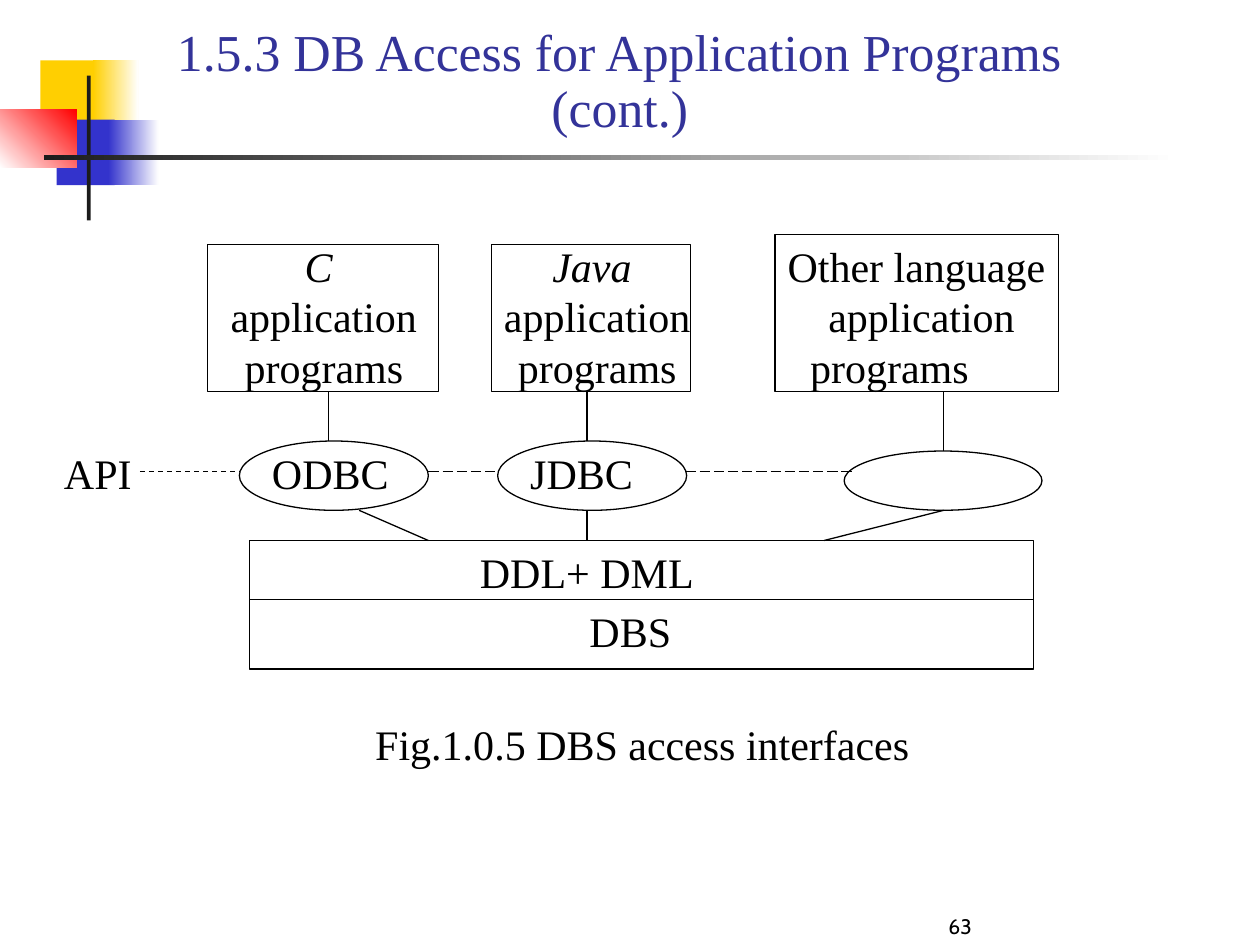
from lxml import etree
from pptx import Presentation
from pptx.dml.color import RGBColor
from pptx.enum import dml, shapes, text
from pptx.oxml import ns
from pptx.util import Inches, Pt

BLACK = RGBColor(0x00, 0x00, 0x00)
WHITE = RGBColor(0xFF, 0xFF, 0xFF)
CHARCOAL = RGBColor(0x1C, 0x1C, 0x1C)
YELLOW = RGBColor(0xFF, 0xCF, 0x01)
BLUE = RGBColor(0x33, 0x33, 0xCC)
RED = RGBColor(0xFF, 0x00, 0x00)
TITLE_BLUE = RGBColor(0x33, 0x33, 0x99)

SERIF = "Times New Roman"
RECTANGLE = shapes.MSO_SHAPE.RECTANGLE
OVAL = shapes.MSO_SHAPE.OVAL
CENTER = text.PP_ALIGN.CENTER
LEFT = text.PP_ALIGN.LEFT
DASH = dml.MSO_LINE.DASH
LONG_DASH = dml.MSO_LINE.LONG_DASH

# left, top, width, height, colours (one is solid, two a gradient), angle
DECORATION = [
    (0.32, 0.48, 0.48, 0.52, [YELLOW], 0),
    (0.74, 0.48, 0.36, 0.52, [YELLOW, WHITE], 0),
    (0.45, 0.95, 0.46, 0.52, [BLUE], 0),
    (0.86, 0.95, 0.4, 0.52, [BLUE, WHITE], 0),
    (0, 0.87, 0.61, 0.46, [WHITE, RED], 45),
    (0.69, 0.6, 0.03, 1.15, [CHARCOAL], 0),
    (0.35, 1.23, 9, 0.04, [CHARCOAL, WHITE], 0),
]

TITLE = ["1.5.3 DB Access for Application Programs", "(cont.)"]
PAGE_NUMBER = "63"

OUTLINES = [
    (RECTANGLE, 1.65, 1.94, 1.83, 1.17),
    (RECTANGLE, 3.9, 1.94, 1.58, 1.17),
    (RECTANGLE, 6.15, 1.86, 2.25, 1.25),
    (OVAL, 1.9, 3.5, 1.5, 0.55),
    (OVAL, 3.95, 3.5, 1.5, 0.55),
    (OVAL, 6.7, 3.58, 1.57, 0.47),
    (RECTANGLE, 1.98, 4.29, 6.22, 1.02),
]

# left, width, language, italic language, indent of the last line
PROGRAMS = [
    (1.73, 1.68, "C ", True, None),
    (3.9, 1.68, "Java ", True, None),
    (6.15, 2.33, "Other language ", False, 0.18),
]

# left, top, width, wording
LABELS = [
    (0.41, 3.5, 0.73, "API"),
    (2.06, 3.5, 1.12, "ODBC"),
    (4.11, 3.5, 1.01, "JDBC"),
    (3.71, 4.29, 1.89, "DDL+ DML"),
    (4.58, 4.76, 0.85, "DBS"),
    (2.88, 5.65, 4.44, "Fig.1.0.5 DBS access interfaces"),
]

PROGRAM_BOTTOM, API_AXIS, API_BOTTOM, DATABASE_TOP = 3.11, 3.74, 4.05, 4.29
LINES = [
    (2.61, PROGRAM_BOTTOM, 2.61, 3.5, None),
    (4.66, PROGRAM_BOTTOM, 4.66, 3.5, None),
    (7.49, PROGRAM_BOTTOM, 7.49, 3.58, None),
    (2.85, API_BOTTOM, 3.4, DATABASE_TOP, None),
    (4.66, API_BOTTOM, 4.66, DATABASE_TOP, None),
    (7.49, API_BOTTOM, 6.54, DATABASE_TOP, None),
    (1.98, 4.76, 8.2, 4.76, None),
    (1.11, API_AXIS, 1.9, API_AXIS, DASH),
    (3.4, API_AXIS, 3.95, API_AXIS, LONG_DASH),
    (5.44, API_AXIS, 6.78, API_AXIS, LONG_DASH),
]


def add_decoration(slide, left, top, width, height, colors, angle):
    shape = slide.shapes.add_shape(RECTANGLE, *map(Inches, (left, top, width, height)))
    shape.shadow.inherit = False
    shape.line.fill.background()
    if len(colors) == 1:
        shape.fill.solid()
        shape.fill.fore_color.rgb = colors[0]
    else:
        shape.fill.gradient()
        shape.fill.gradient_angle = angle
        for stop, color in zip(shape.fill.gradient_stops, colors):
            stop.color.rgb = color


def add_outline(slide, kind, *box):
    shape = slide.shapes.add_shape(kind, *map(Inches, box))
    shape.shadow.inherit = False
    shape.fill.background()
    shape.line.color.rgb = BLACK
    shape.line.width = Pt(0.75)


def add_line(slide, x1, y1, x2, y2, dash):
    line = slide.shapes.add_connector(
        shapes.MSO_CONNECTOR.STRAIGHT, *map(Inches, (x1, y1, x2, y2)))
    line.line.color.rgb = BLACK
    line.line.width = Pt(0.75)
    if dash is not None:
        line.line.dash_style = dash
    etree.SubElement(line._element.spPr, ns.qn("a:effectLst"))


def add_text(slide, box, lines, size=24, font=SERIF, color=BLACK, align=LEFT,
             anchor=text.MSO_ANCHOR.TOP, spacing=None):
    frame = slide.shapes.add_textbox(*map(Inches, box)).text_frame
    frame.word_wrap = True
    frame.vertical_anchor = anchor
    frame.text = "\n".join(lines)
    for paragraph in frame.paragraphs:
        paragraph.alignment = align
        paragraph.line_spacing = spacing
        for run in paragraph.runs:
            run.font.size = Pt(size)
            run.font.name = font
            run.font.color.rgb = color
    return frame


def add_program(slide, left, width, language, italic, indent):
    frame = add_text(slide, (left, 1.86, width, 1.3),
                     [language, "application", "programs"],
                     align=CENTER, spacing=Pt(28.8))
    side_margin = 0.05
    frame.margin_left = frame.margin_right = Inches(side_margin)
    frame.paragraphs[0].runs[0].font.italic = italic
    if indent is not None:
        last = frame.paragraphs[-1]
        last.alignment = LEFT
        properties = last._p.get_or_add_pPr()
        properties.set("marL", str(Inches(indent + side_margin)))
        properties.set("indent", "0")


def add_label(slide, left, top, width, wording):
    frame = add_text(slide, (left, top, width, 0.5), [wording])
    frame.margin_right = 0


def main():
    presentation = Presentation()
    presentation.slide_width, presentation.slide_height = Inches(10), Inches(7.5)
    slide = presentation.slides.add_slide(presentation.slide_layouts[6])

    for decoration in DECORATION:
        add_decoration(slide, *decoration)
    for outline in OUTLINES:
        add_outline(slide, *outline)
    for line in LINES:
        add_line(slide, *line)
    for program in PROGRAMS:
        add_program(slide, *program)
    for label in LABELS:
        add_label(slide, *label)

    bottom = text.MSO_ANCHOR.BOTTOM
    add_text(slide, (0.67, 0, 8.5, 1.15), TITLE, size=29.6, color=TITLE_BLUE,
             align=CENTER, anchor=bottom, spacing=0.9)
    add_text(slide, (6.58, 7, 2.08, 0.5), [PAGE_NUMBER], size=12, font="Cabin",
             align=CENTER, anchor=bottom)

    presentation.save("out.pptx")


if __name__ == "__main__":
    main()
